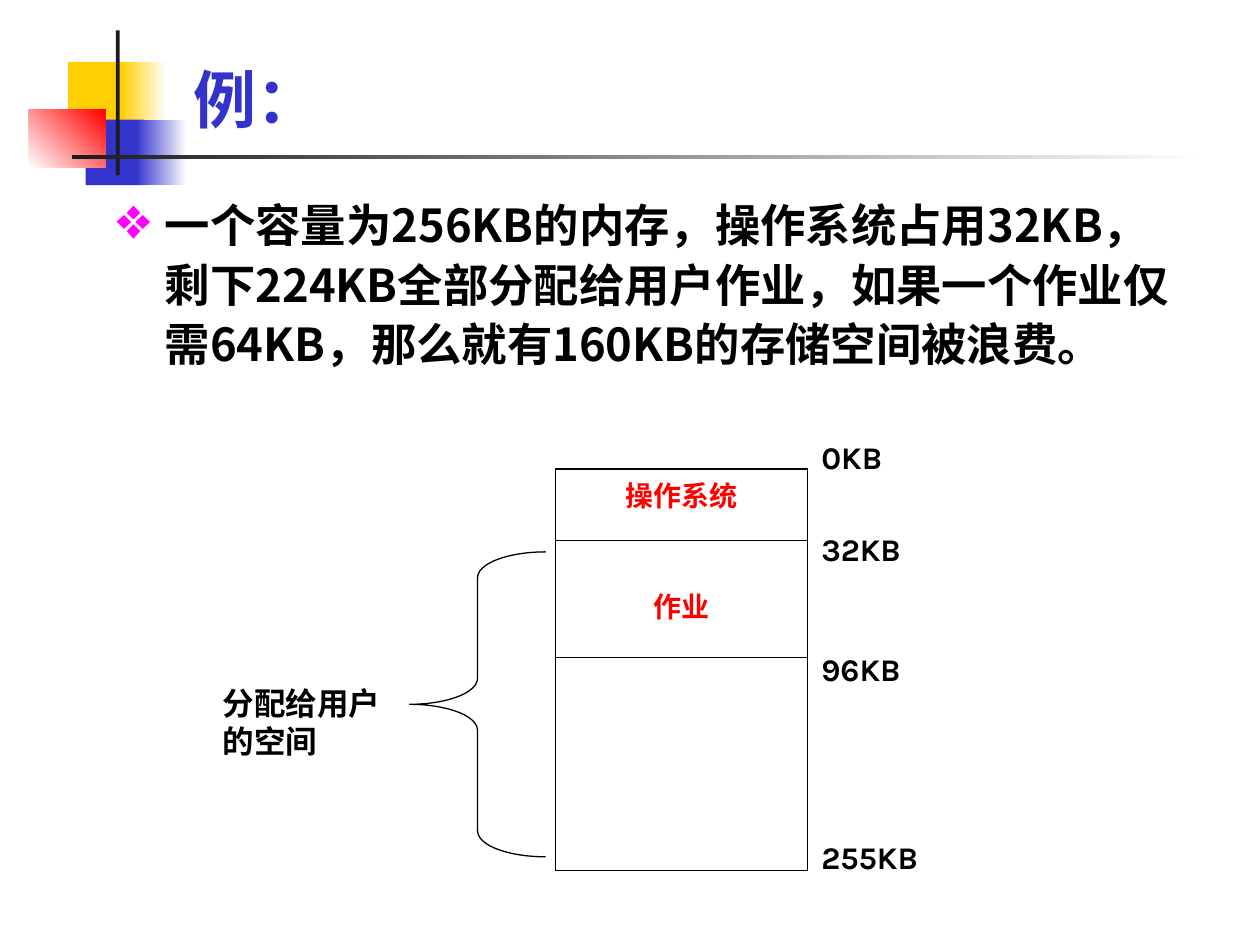
from lxml import etree
from pptx import Presentation
from pptx.dml.color import RGBColor
from pptx.enum import shapes, text
from pptx.oxml.ns import qn
from pptx.util import Inches, Pt

LATIN, CJK = "Karla", "Noto Sans CJK SC"
BLACK, WHITE, RED, BLUE = "000000", "FFFFFF", "FF0000", "3333CC"
YELLOW, DARK = "FFCF01", "1C1C1C"

TITLE = "例："
BODY = ("一个容量为256KB的内存，操作系统占用32KB，剩下224KB全部分配给用户作业，"
        "如果一个作业仅需64KB，那么就有160KB的存储空间被浪费。")
USER_SPACE = "分配给用户的空间"
# left, top, width, height, colours (two make a gradient), angle
DECOR = [
    (0.54, 0.49, 0.48, 0.52, [YELLOW], 0),
    (0.96, 0.49, 0.36, 0.52, [YELLOW, WHITE], 0),
    (0.68, 0.95, 0.46, 0.52, [BLUE], 0),
    (1.08, 0.95, 0.40, 0.52, [BLUE, WHITE], 0),
    (0.23, 0.87, 0.61, 0.46, [WHITE, RED], 45),
    (0.92, 0.24, 0.03, 1.15, [DARK], 0),
    (0.57, 1.23, 9.00, 0.03, [DARK, WHITE], 0),
]
# memory block: text, row height, top margin
BLOCKS = [("操作系统", 0.57, 0.1), ("作业", 0.93, 0.41), ("", 1.69, 0.05)]
# address label, space before in points
ADDRESSES = [("0KB", 0), ("32KB", 34.6), ("96KB", 50.6), ("255KB", 89.4)]


def rgb(color):
    return RGBColor.from_string(color)


def write(p, words, size, color=BLACK, font=LATIN, align=None, before=0, spacing=None):
    p.alignment, p.space_before, p.line_spacing = align, Pt(before), spacing
    r = p.add_run()
    r.text = words
    r.font.size, r.font.bold, r.font.name = Pt(size), True, font
    r.font.color.rgb = rgb(color)
    etree.SubElement(r._r.get_or_add_rPr(), qn("a:ea"), typeface=font)


def text_frame(slide, *box, anchor=text.MSO_ANCHOR.TOP):
    tf = slide.shapes.add_textbox(*map(Inches, box)).text_frame
    tf.word_wrap, tf.vertical_anchor = True, anchor
    return tf


def add_bullet(p, char, color, indent, percent):
    pPr = p._p.get_or_add_pPr()
    pPr.set("marL", str(Inches(indent)))
    pPr.set("indent", str(-Inches(indent)))
    clr = etree.SubElement(pPr, qn("a:buClr"))
    etree.SubElement(clr, qn("a:srgbClr"), val=color)
    etree.SubElement(pPr, qn("a:buSzPct"), val=str(percent * 1000))
    etree.SubElement(pPr, qn("a:buChar"), char=char)


def set_borders(cell, top, bottom):
    tcPr = cell._tc.get_or_add_tcPr()
    widths = [("a:lnL", 1.08), ("a:lnR", 1.08), ("a:lnT", top), ("a:lnB", bottom)]
    for i, (tag, width) in enumerate(widths):
        ln = etree.Element(qn(tag), w=str(Pt(width)))
        fill = etree.SubElement(ln, qn("a:solidFill"))
        etree.SubElement(fill, qn("a:srgbClr"), val=BLACK)
        tcPr.insert(i, ln)


prs = Presentation()
prs.slide_width, prs.slide_height = Inches(10), Inches(7.5)
s = prs.slides.add_slide(prs.slide_layouts[6])

# Corner decoration and rule
for *box, colors, angle in DECOR:
    sp = s.shapes.add_shape(shapes.MSO_SHAPE.RECTANGLE, *map(Inches, box))
    sp.shadow.inherit = False
    sp.line.fill.background()
    if len(colors) == 1:
        sp.fill.solid()
        sp.fill.fore_color.rgb = rgb(colors[0])
    else:
        sp.fill.gradient()
        sp.fill.gradient_angle = angle
        for stop, color in zip(sp.fill.gradient_stops, colors):
            stop.color.rgb = rgb(color)

# Title and body
tf = text_frame(s, 1.44, 0.28, 6.4, 0.85, anchor=text.MSO_ANCHOR.BOTTOM)
write(tf.paragraphs[0], TITLE, 36, BLUE)
p = text_frame(s, 0.83, 1.47, 8.74, 1.89).paragraphs[0]
add_bullet(p, "❖", "FF00FF", 0.38, 130)
write(p, BODY, 25.9, font=CJK, spacing=1.1)

# Memory map
height = sum(h for _, h, _ in BLOCKS)
table = s.shapes.add_table(len(BLOCKS), 1, Inches(4.41), Inches(3.72),
                           Inches(2), Inches(height)).table
table.first_row = table.horz_banding = False
last = len(BLOCKS) - 1
for i, (words, h, margin) in enumerate(BLOCKS):
    table.rows[i].height = Inches(h)
    cell = table.cell(i, 0)
    cell.fill.background()
    cell.margin_top = Inches(margin)
    set_borders(cell, 0.45 if i else 1.08, 1.08 if i == last else 0.45)
    if words:
        write(cell.text_frame.paragraphs[0], words, 16, RED, align=text.PP_ALIGN.CENTER)

# Addresses beside the map
tf = text_frame(s, 6.42, 3.48, 1.17, 3.45)
for i, (words, before) in enumerate(ADDRESSES):
    p = tf.add_paragraph() if i else tf.paragraphs[0]
    write(p, words, 18, before=before, spacing=Pt(18))

# Brace and its label
sp = s.shapes.add_shape(shapes.MSO_SHAPE.LEFT_BRACE, Inches(3.25), Inches(4.38),
                        Inches(1.08), Inches(2.42))
sp.shadow.inherit = False
sp.fill.background()
sp.line.color.rgb, sp.line.width = rgb(BLACK), Pt(0.75)
sp.adjustments[0] = 0.19
write(text_frame(s, 1.67, 5.38, 1.58, 0.7).paragraphs[0], USER_SPACE, 18)

prs.save("out.pptx")
